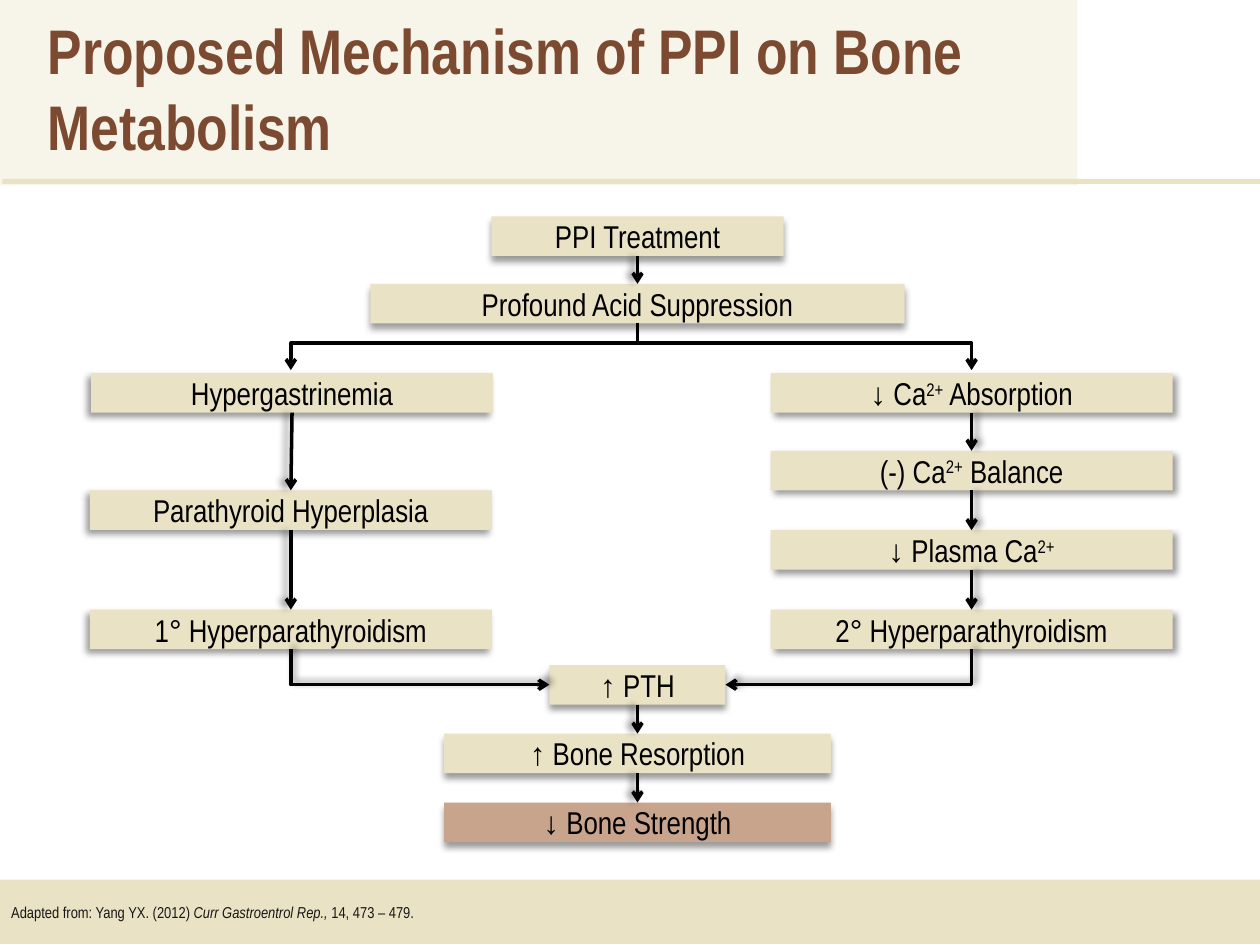
from dataclasses import dataclass
from typing import Optional

import pptx
import pptx.dml.color
import pptx.enum.shapes
import pptx.enum.text
import pptx.oxml
import pptx.oxml.ns
import pptx.util

Pt = pptx.util.Pt
ALIGN = pptx.enum.text.PP_ALIGN
ANCHOR = pptx.enum.text.MSO_ANCHOR
CONNECTOR = pptx.enum.shapes.MSO_CONNECTOR
RECTANGLE = pptx.enum.shapes.MSO_SHAPE.RECTANGLE

FONT = "Arial Narrow"
SAND, PALE, CLAY, BROWN = "EAE2C4", "F7F4E9", "C9A48D", "7B4A31"
BLACK, INK = "000000", "181717"
LEFT, MIDDLE, RIGHT = 166.2, 364.3, 555.2
SIDE_WIDTH, BOX_HEIGHT = 229.7, 22.6
TOP_SIDE, LEFT_SIDE, BOTTOM_SIDE, RIGHT_SIDE = range(4)


@dataclass
class Step:
    label: str
    center: float
    top: float
    width: float
    shadow: int
    fill: str = SAND


@dataclass
class Link:
    start: str
    end: str
    shadow: int


STEPS = {
    "treatment": Step("PPI Treatment", MIDDLE, 123.7, 167, 90),
    "suppression": Step("Profound Acid Suppression", MIDDLE, 162.2, 305.3, 90),
    "gastrin": Step("Hypergastrinemia", LEFT + 0.7, 213.2, SIDE_WIDTH, 135),
    "hyperplasia": Step("Parathyroid Hyperplasia", LEFT, 280.2, SIDE_WIDTH, 135),
    "primary": Step("1° Hyperparathyroidism", LEFT, 348.4, SIDE_WIDTH, 135),
    "absorption": Step("↓ Ca2+ Absorption", RIGHT, 213.2, SIDE_WIDTH, 45),
    "balance": Step("(-) Ca2+ Balance", RIGHT, 257.6, SIDE_WIDTH, 45),
    "plasma": Step("↓ Plasma Ca2+", RIGHT, 303, SIDE_WIDTH, 45),
    "secondary": Step("2° Hyperparathyroidism", RIGHT, 348.4, SIDE_WIDTH, 45),
    "pth": Step("↑ PTH", MIDDLE, 380, 100.6, 90),
    "resorption": Step("↑ Bone Resorption", MIDDLE, 419.2, 221, 90),
    "strength": Step("↓ Bone Strength", MIDDLE, 458.6, 221, 90, CLAY),
}

LINKS = [
    Link("treatment", "suppression", 180),
    Link("gastrin", "hyperplasia", 180),
    Link("hyperplasia", "primary", 180),
    Link("absorption", "balance", 0),
    Link("balance", "plasma", 0),
    Link("plasma", "secondary", 0),
    Link("pth", "resorption", 180),
    Link("resorption", "strength", 180),
]


def color(value: str) -> pptx.dml.color.RGBColor:
    return pptx.dml.color.RGBColor.from_string(value)


def add_span(para, text: str, *, size: float, ink: str = BLACK, bold: bool = False,
             italic: bool = False, superscript: bool = False) -> None:
    span = para.add_run()
    span.text = text
    span.font.name, span.font.size = FONT, Pt(size)
    span.font.bold, span.font.italic = bold, italic
    span.font.color.rgb = color(ink)
    if superscript:
        span.font._element.set("baseline", "30000")


def set_effects(shape, angle: Optional[int] = None) -> None:
    """Give the shape a soft shadow at an angle, or none at all."""
    inner = "" if angle is None else (
        f'<a:outerShdw blurRad="{Pt(4)}" dist="{Pt(3)}" dir="{angle * 60000}" '
        f'algn="ctr" rotWithShape="0"><a:srgbClr val="{BLACK}">'
        '<a:alpha val="40000"/></a:srgbClr></a:outerShdw>')
    namespace = pptx.oxml.ns.nsdecls("a")
    shape.element.spPr.append(pptx.oxml.parse_xml(
        f"<a:effectLst {namespace}>{inner}</a:effectLst>"))


def style_line(shape, *ends: str, shadow: Optional[int] = None) -> None:
    """Draw a black line with arrowheads at the given ends (headEnd, tailEnd)."""
    shape.line.width = Pt(2)
    shape.line.color.rgb = color(BLACK)
    outline = shape.line._get_or_add_ln()
    for end in ends:
        outline.append(pptx.oxml.parse_xml(
            f'<a:{end} {pptx.oxml.ns.nsdecls("a")} type="arrow"/>'))
    set_effects(shape, shadow)


def add_box(page, left: float, top: float, width: float, height: float, fill: str,
            shadow: Optional[int] = None):
    box = page.shapes.add_shape(RECTANGLE, Pt(left), Pt(top), Pt(width), Pt(height))
    box.fill.solid()
    box.fill.fore_color.rgb = color(fill)
    box.line.fill.background()
    set_effects(box, shadow)
    box.text_frame.word_wrap = True
    box.text_frame.vertical_anchor = ANCHOR.MIDDLE
    return box


def add_step(page, step: Step):
    box = add_box(page, step.center - step.width / 2, step.top, step.width,
                  BOX_HEIGHT, step.fill, step.shadow)
    para = box.text_frame.paragraphs[0]
    para.alignment = ALIGN.CENTER
    for text in step.label.partition("2+"):
        if text:
            add_span(para, text, size=18, superscript=text == "2+")
    return box


def join(page, start, start_side: int, end, end_side: int, kind=CONNECTOR.STRAIGHT):
    connector = page.shapes.add_connector(kind, 0, 0, 0, 0)
    connector.begin_connect(start, start_side)
    connector.end_connect(end, end_side)
    return connector


def main() -> None:
    deck = pptx.Presentation()
    deck.slide_width, deck.slide_height = Pt(720), Pt(540)
    page = deck.slides.add_slide(deck.slide_layouts[5])

    # Title on its pale panel
    title = page.shapes.title
    panel = add_box(page, 0, -0.7, 615.6, 106.6, PALE)
    title.element.addprevious(panel.element)
    title.left, title.top, title.width, title.height = Pt(20), Pt(3), Pt(582), Pt(94)
    title.text_frame.word_wrap = True
    title.text_frame.auto_size = pptx.enum.text.MSO_AUTO_SIZE.NONE
    title.text_frame.vertical_anchor = ANCHOR.TOP
    heading = title.text_frame.paragraphs[0]
    heading.alignment = ALIGN.LEFT
    add_span(heading, "Proposed Mechanism of PPI on Bone Metabolism",
             size=36, ink=BROWN, bold=True)

    # Rule below the title and source band
    add_box(page, 1.4, 102.3, 721.4, 2.9, SAND)
    band = add_box(page, -0.7, 502.6, 721.4, 36.7, SAND)
    source = band.text_frame.paragraphs[0]
    source.alignment = ALIGN.LEFT
    add_span(source, "Adapted from: Yang YX. (2012) ", size=9, ink=INK)
    add_span(source, "Curr Gastroentrol Rep., ", size=9, ink=INK, italic=True)
    add_span(source, "14, 473 – 479.", size=9, ink=INK)

    # Steps and the straight arrows between them
    boxes = {name: add_step(page, step) for name, step in STEPS.items()}
    for link in LINKS:
        arrow = join(page, boxes[link.start], BOTTOM_SIDE, boxes[link.end], TOP_SIDE)
        style_line(arrow, "tailEnd", shadow=link.shadow)

    # Fork from acid suppression to both branches
    fork_top, fork_bottom = 196, 211.5
    stem = page.shapes.add_connector(CONNECTOR.STRAIGHT, Pt(MIDDLE), Pt(fork_top),
                                     Pt(MIDDLE), Pt(fork_top))
    stem.begin_connect(boxes["suppression"], BOTTOM_SIDE)
    style_line(stem)
    builder = page.shapes.build_freeform(Pt(LEFT), Pt(fork_bottom))
    builder.add_line_segments([(Pt(LEFT), Pt(fork_top)), (Pt(RIGHT), Pt(fork_top)),
                               (Pt(RIGHT), Pt(fork_bottom))], close=False)
    fork = builder.convert_to_shape()
    fork.fill.background()
    style_line(fork, "headEnd", "tailEnd")

    # Bent arrows from both branches into PTH
    for side, branch in ((LEFT_SIDE, "primary"), (RIGHT_SIDE, "secondary")):
        bend = join(page, boxes["pth"], side, boxes[branch], BOTTOM_SIDE, CONNECTOR.ELBOW)
        bend.element.spPr.find(pptx.oxml.ns.qn("a:prstGeom")).set("prst", "bentConnector2")
        style_line(bend, "headEnd", shadow=315)

    deck.save("out.pptx")


if __name__ == "__main__":
    main()
